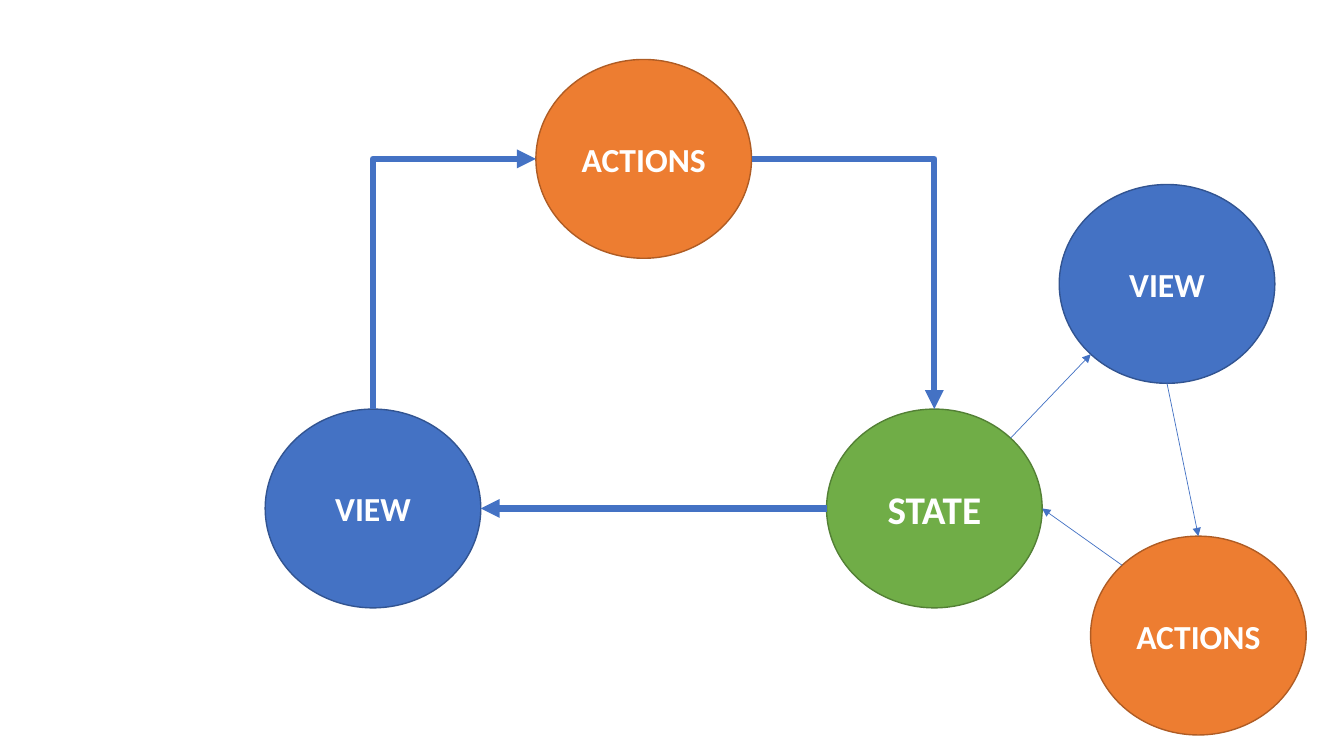
from math import sqrt

from lxml.etree import SubElement
from pptx import Presentation
from pptx.dml.color import RGBColor
from pptx.enum.shapes import MSO_CONNECTOR, MSO_SHAPE
from pptx.enum.text import MSO_ANCHOR, PP_ALIGN
from pptx.oxml.ns import qn
from pptx.util import Pt

BLUE = RGBColor(0x44, 0x72, 0xC4)
NAVY = RGBColor(0x32, 0x54, 0x91)
ORANGE = RGBColor(0xED, 0x7D, 0x31)
BROWN = RGBColor(0xAF, 0x5C, 0x24)
GREEN = RGBColor(0x70, 0xAD, 0x47)
MOSS = RGBColor(0x53, 0x80, 0x35)
WHITE = RGBColor(0xFF, 0xFF, 0xFF)

# Content: name -> label, left, top, fill, edge, text size
WIDE, HIGH = 154, 142
LOW = 292.2
NODES = {
    "actions": ("ACTIONS", 382.8, 42.5, ORANGE, BROWN, 24),
    "state": ("STATE", 590.4, LOW, GREEN, MOSS, 28),
    "view": ("VIEW", 189.4, LOW, BLUE, NAVY, 24),
    "view 2": ("VIEW", 756.6, 131.8, BLUE, NAVY, 24),
    "actions 2": ("ACTIONS", 779, 383, ORANGE, BROWN, 24),
}

# Arrows: from node, side, to node, side, width, route
THICK, THIN = 4.5, 0.5
ARROWS = [
    ("view", "top", "actions", "left", THICK, "up"),
    ("actions", "right", "state", "top", THICK, "across"),
    ("state", "left", "view", "right", THICK, "straight"),
    ("state", "top right", "view 2", "bottom left", THIN, "straight"),
    ("view 2", "bottom", "actions 2", "top", THIN, "straight"),
    ("actions 2", "top left", "state", "right", THIN, "straight"),
]
STEPS = {"left": (-1, 0), "right": (1, 0), "top": (0, -1), "bottom": (0, 1)}


def put_text(shape, text, size=24, color=WHITE, bold=True, font="Calibri"):
    frame = shape.text_frame
    frame.word_wrap = True
    frame.vertical_anchor = MSO_ANCHOR.MIDDLE
    para = frame.paragraphs[0]
    para.alignment = PP_ALIGN.CENTER
    run = para.add_run()
    run.text = text
    run.font.name, run.font.size, run.font.bold = font, Pt(size), bold
    run.font.color.rgb = color


def add_node(slide, label, left, top, fill, edge, size):
    oval = slide.shapes.add_shape(
        MSO_SHAPE.OVAL, Pt(left), Pt(top), Pt(WIDE), Pt(HIGH))
    oval.shadow.inherit = False
    oval.fill.solid()
    oval.fill.fore_color.rgb = fill
    oval.line.color.rgb = edge
    oval.line.width = Pt(1)
    put_text(oval, label, size=size)


def rim(name, side):
    """Point on a node's edge, such as its top or its top left."""
    left, top = NODES[name][1:3]
    steps = [STEPS[word] for word in side.split()]
    reach = 0.5 / sqrt(len(steps))
    return (left + WIDE * (0.5 + reach * sum(x for x, y in steps)),
            top + HIGH * (0.5 + reach * sum(y for x, y in steps)))


def add_arrow(slide, start, end, width, route):
    (x1, y1), (x2, y2) = start, end
    if route == "up":
        # Quarter turn: swap the box's sides around its centre
        midx, midy = (x1 + x2) / 2, (y1 + y2) / 2
        dx, dy = abs(y2 - y1) / 2, abs(x2 - x1) / 2
        x1, y1, x2, y2 = midx + dx, midy + dy, midx - dx, midy - dy
    kind = MSO_CONNECTOR.STRAIGHT if route == "straight" else MSO_CONNECTOR.ELBOW
    line = slide.shapes.add_connector(kind, Pt(x1), Pt(y1), Pt(x2), Pt(y2))
    line.line.color.rgb = BLUE
    line.line.width = Pt(width)
    props = line._element.spPr
    if route != "straight":
        props.find(qn("a:prstGeom")).set("prst", "bentConnector2")
    if route == "up":
        props.find(qn("a:xfrm")).set("rot", "5400000")
    SubElement(props.find(qn("a:ln")), qn("a:tailEnd"), type="triangle")
    SubElement(props, qn("a:effectLst"))


def main():
    deck = Presentation()
    deck.slide_width, deck.slide_height = Pt(960), Pt(540)
    slide = deck.slides.add_slide(deck.slide_layouts[6])

    # Circles
    for node in NODES.values():
        add_node(slide, *node)

    # Arrows between them
    for source, exit, target, entry, width, route in ARROWS:
        add_arrow(slide, rim(source, exit), rim(target, entry), width, route)

    deck.save("out.pptx")


if __name__ == "__main__":
    main()
